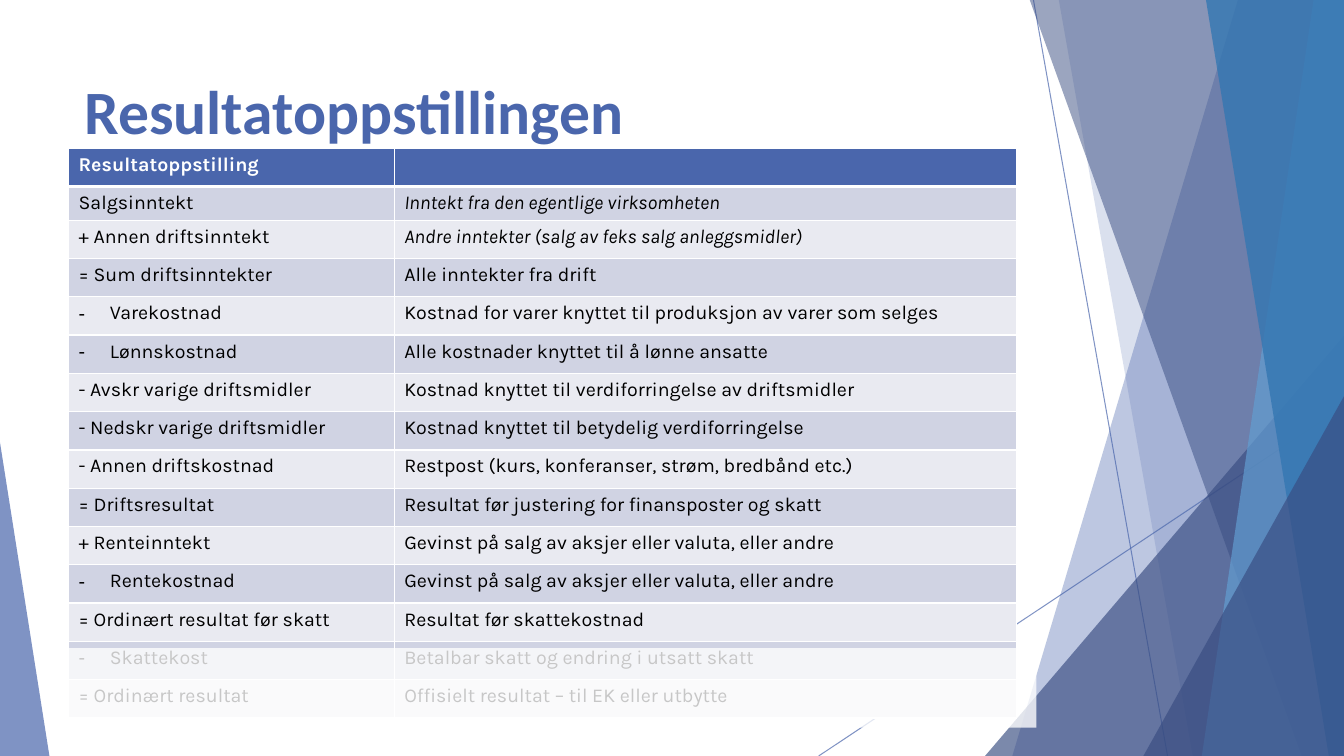
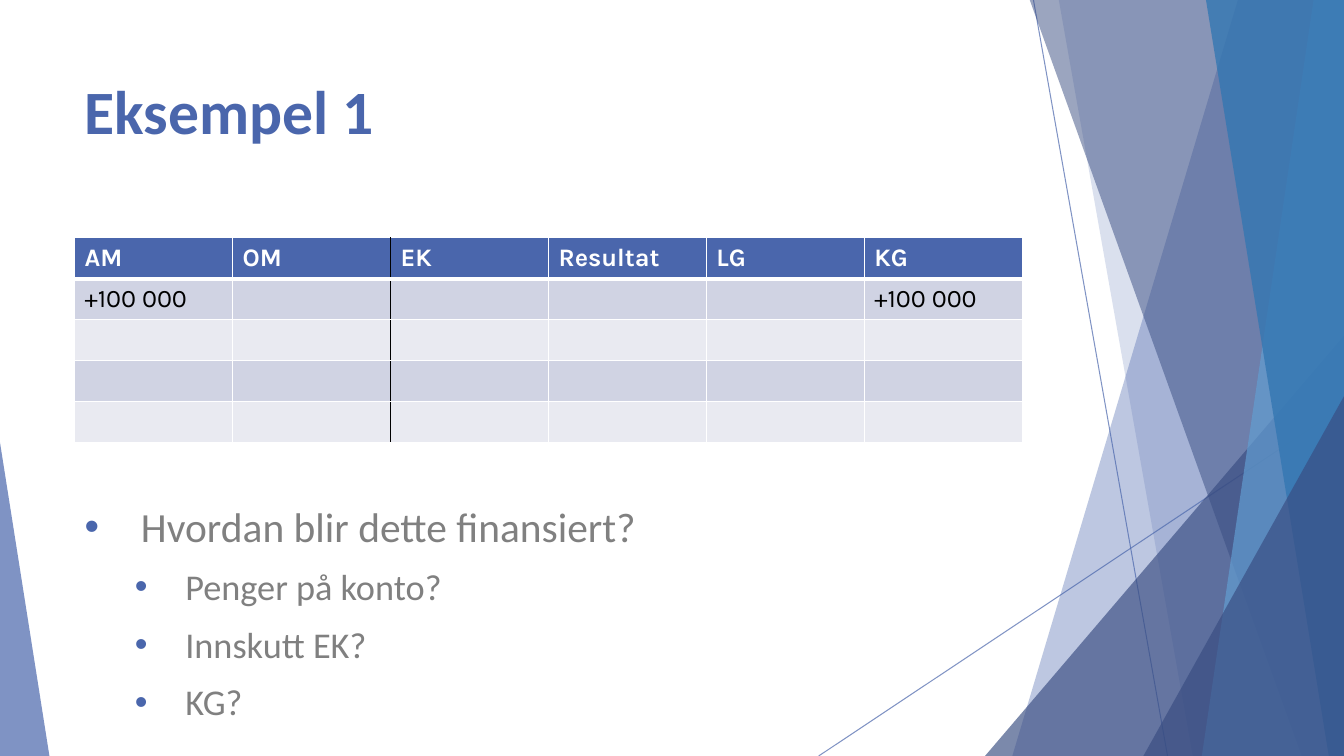
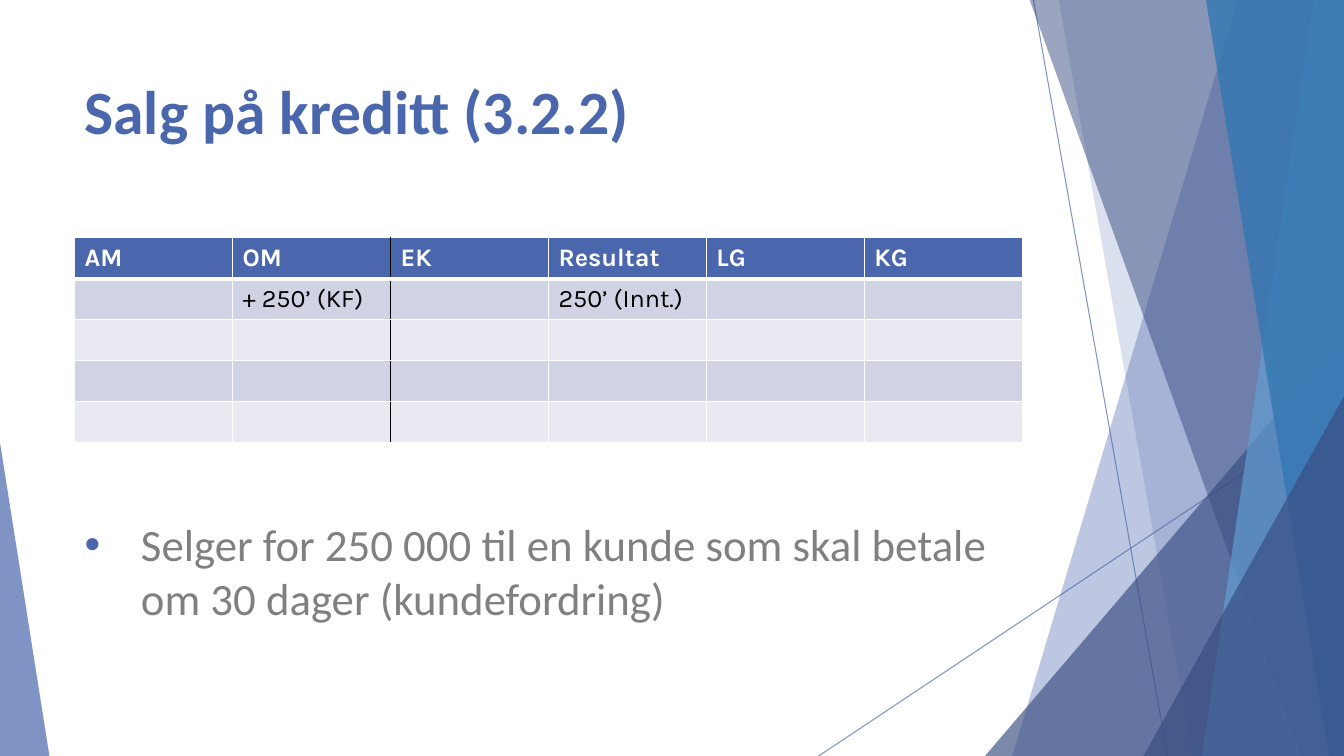
import pptx
import pptx.dml.color
import pptx.enum.shapes
import pptx.enum.text
import pptx.oxml
import pptx.oxml.ns
import pptx.util
from lxml import etree

Inches = pptx.util.Inches
Pt = pptx.util.Pt
RGBColor = pptx.dml.color.RGBColor
MSO_SHAPE = pptx.enum.shapes.MSO_SHAPE
qn = pptx.oxml.ns.qn

# Colours
BLUE = RGBColor(0x4A, 0x66, 0xAC)
NAVY = RGBColor(0x38, 0x4C, 0x81)
SKY = RGBColor(0x62, 0x9D, 0xD1)
OCEAN = RGBColor(0x34, 0x77, 0xB2)
BAND_DARK = RGBColor(0xD0, 0xD3, 0xE3)
BAND_LIGHT = RGBColor(0xE9, 0xEA, 0xF1)
GREY = RGBColor(0x80, 0x80, 0x80)
WHITE = RGBColor(0xFF, 0xFF, 0xFF)
BLACK = RGBColor(0, 0, 0)

# Layout and type
WIDTH, HEIGHT = 13.33, 7.5
LEFT, CONTENT_WIDTH = 0.74, 9.4
HEADING_FONT, TABLE_FONT = "Calibri", "Karla"
INDENTS = [(0.56, 0.56), (1, 0.5)]  # left margin and hanging indent by level

# Content
INCOME_STATEMENT = [
    ("Resultatoppstilling", ""),
    ("Salgsinntekt", "Inntekt fra den egentlige virksomheten"),
    ("+ Annen driftsinntekt", "Andre inntekter (salg av feks salg anleggsmidler)"),
    ("= Sum driftsinntekter", "Alle inntekter fra drift"),
    ("Varekostnad", "Kostnad for varer knyttet til produksjon av varer som selges"),
    ("Lønnskostnad", "Alle kostnader knyttet til å lønne ansatte"),
    ("- Avskr varige driftsmidler", "Kostnad knyttet til verdiforringelse av driftsmidler"),
    ("- Nedskr varige driftsmidler", "Kostnad knyttet til betydelig verdiforringelse"),
    ("- Annen driftskostnad", "Restpost (kurs, konferanser, strøm, bredbånd etc.)"),
    ("= Driftsresultat", "Resultat før justering for finansposter og skatt"),
    ("+ Renteinntekt", "Gevinst på salg av aksjer eller valuta, eller andre"),
    ("Rentekostnad", "Gevinst på salg av aksjer eller valuta, eller andre"),
    ("= Ordinært resultat før skatt", "Resultat før skattekostnad"),
    ("Skattekost", "Betalbar skatt og endring i utsatt skatt"),
    ("= Ordinært resultat", "Offisielt resultat – til EK eller utbytte"),
]
DASHED = {"Varekostnad", "Lønnskostnad", "Rentekostnad", "Skattekost"}
ITALIC = {INCOME_STATEMENT[1][1], INCOME_STATEMENT[2][1]}
ACCOUNTS = ("AM", "OM", "EK", "Resultat", "LG", "KG")


def set_alpha(properties, percent):
    colour = properties.find(".//" + qn("a:srgbClr"))
    etree.SubElement(colour, qn("a:alpha")).set("val", str(percent * 1000))


def set_font(paragraph, name, size, colour, bold=False, italic=False):
    font = paragraph.font
    font.name, font.size, font.bold, font.italic = name, Pt(size), bold, italic
    font.color.rgb = colour


def set_bullet(paragraph, char, margin, hanging, colour=None):
    properties = paragraph._p.get_or_add_pPr()
    properties.set("marL", str(Inches(margin)))
    properties.set("indent", str(-Inches(hanging)))
    if colour is not None:
        holder = etree.SubElement(properties, qn("a:buClr"))
        etree.SubElement(holder, qn("a:srgbClr")).set("val", str(colour))
    etree.SubElement(properties, qn("a:buFont")).set("typeface", "Arial")
    etree.SubElement(properties, qn("a:buChar")).set("char", char)


def set_border(cell, side, colour, width):
    line = etree.SubElement(cell._tc.get_or_add_tcPr(), qn("a:ln" + side))
    line.set("w", str(Pt(width)))
    fill = etree.SubElement(line, qn("a:solidFill"))
    etree.SubElement(fill, qn("a:srgbClr")).set("val", str(colour))


class Deck:
    def __init__(self):
        self.presentation = pptx.Presentation()
        self.presentation.slide_width = Inches(WIDTH)
        self.presentation.slide_height = Inches(HEIGHT)
        self.slide = None

    def start(self, title):
        layout = self.presentation.slide_layouts[6]
        self.slide = self.presentation.slides.add_slide(layout)
        self.backdrop()
        heading = self.text_frame(0.67, 1.44).paragraphs[0]
        heading.text = title
        set_font(heading, HEADING_FONT, 44, BLUE, bold=True)

    def backdrop(self):
        self.line((10.25, 0), (11.58, HEIGHT))
        self.line((WIDTH, 4.03), (8.12, HEIGHT))
        self.ribbon(12.28, 10.04, BLUE, 36)
        self.ribbon(10.5, 11.83, BLUE, 20)
        self.triangle(9.77, 3.33, 3.56, 1, NAVY, 66)
        self.ribbon(10.21, 12.91, NAVY, 50)
        self.ribbon(13.03, 11.92, SKY, 70)
        self.ribbon(11.96, 13.18, OCEAN, 80)
        self.triangle(11.34, 3.93, 1.99, 1, NAVY, 66)
        self.triangle(0, 4.39, 0.49, 0, BLUE, 70)

    def line(self, start, end):
        connector = self.slide.shapes.add_connector(
            pptx.enum.shapes.MSO_CONNECTOR.STRAIGHT,
            *(Inches(value) for value in start + end))
        connector.line.color.rgb = BLUE
        connector.line.width = Pt(0.75)
        properties = connector._element.spPr
        set_alpha(properties, 70)
        etree.SubElement(properties, qn("a:effectLst"))

    def paint(self, shape, colour, alpha):
        shape.shadow.inherit = False
        shape.line.fill.background()
        shape.fill.solid()
        shape.fill.fore_color.rgb = colour
        set_alpha(shape._element.spPr, alpha)

    def ribbon(self, top_x, bottom_x, colour, alpha):
        """Full-height band from a slanted left edge to the slide's right edge."""
        top = Inches(-0.01)
        outline = self.slide.shapes.build_freeform(Inches(top_x), top)
        outline.add_line_segments([
            (Inches(WIDTH), top), (Inches(WIDTH), Inches(HEIGHT)),
            (Inches(bottom_x), Inches(HEIGHT))], close=True)
        self.paint(outline.convert_to_shape(), colour, alpha)

    def triangle(self, left, top, width, apex, colour, alpha):
        shape = self.preset(MSO_SHAPE.ISOSCELES_TRIANGLE, left, top, width,
                            HEIGHT - top, colour, alpha)
        shape.adjustments[0] = apex

    def preset(self, kind, left, top, width, height, colour, alpha):
        shape = self.slide.shapes.add_shape(
            kind, Inches(left), Inches(top), Inches(width), Inches(height))
        self.paint(shape, colour, alpha)
        return shape

    def text_frame(self, top, height):
        box = self.slide.shapes.add_textbox(
            Inches(LEFT), Inches(top), Inches(CONTENT_WIDTH), Inches(height))
        box.text_frame.word_wrap = True
        box.text_frame.vertical_anchor = pptx.enum.text.MSO_ANCHOR.TOP
        return box.text_frame

    def bullets(self, top, height, items):
        """Items are (level, size, text)."""
        frame = self.text_frame(top, height)
        for index, (level, size, text) in enumerate(items):
            paragraph = frame.add_paragraph() if index else frame.paragraphs[0]
            paragraph.text = text
            paragraph.level = level
            if index:
                paragraph.space_before = Pt(10)
            set_bullet(paragraph, "•", *INDENTS[level], BLUE)
            set_font(paragraph, HEADING_FONT, size, GREY)

    def table(self, left, top, columns, heights, rows, size, divider=None):
        """Divider is the number of columns left of a black rule."""
        frame = self.slide.shapes.add_table(
            len(rows), len(columns), Inches(left), Inches(top),
            Inches(sum(columns)), Inches(sum(heights)))
        table = frame.table
        table.first_row = table.horz_banding = False
        for column, width in zip(table.columns, columns):
            column.width = Inches(width)
        for r, (row, height) in enumerate(zip(rows, heights)):
            table.rows[r].height = Inches(height)
            for c, text in enumerate(row):
                self.cell(table.cell(r, c), text, r, c, size, divider)

    def cell(self, cell, text, row, column, size, divider):
        set_border(cell, "L", BLACK if column == divider else WHITE, 1)
        set_border(cell, "R", BLACK if column + 1 == divider else WHITE, 1)
        set_border(cell, "T", WHITE, 3 if row == 1 else 1)
        set_border(cell, "B", WHITE, 1 if row else 3)
        cell.fill.solid()
        band = BAND_DARK if row % 2 else BAND_LIGHT
        cell.fill.fore_color.rgb = band if row else BLUE
        paragraph = cell.text_frame.paragraphs[0]
        if text:
            paragraph.text = text
        if text in DASHED:
            set_bullet(paragraph, "-", 0.31, 0.31)
        set_font(paragraph, TABLE_FONT, size, BLACK if row else WHITE,
                 bold=row == 0, italic=text in ITALIC)

    def ledger(self, entries):
        """Account table with one filled row; entries map account to amount."""
        posting = [entries.get(account, "") for account in ACCOUNTS]
        empty = [""] * len(ACCOUNTS)
        columns = [CONTENT_WIDTH / len(ACCOUNTS)] * len(ACCOUNTS)
        rows = [ACCOUNTS, posting, empty, empty, empty]
        self.table(LEFT, 2.36, columns, [2.03 / len(rows)] * len(rows), rows,
                   18, divider=2)


def main():
    deck = Deck()

    # Income statement, with the last rows veiled
    deck.start("Resultatoppstillingen")
    heights = [0.38, 0.33] + [0.38] * (len(INCOME_STATEMENT) - 2)
    deck.table(0.68, 1.47, [3.23, 6.17], heights, INCOME_STATEMENT, 14)
    deck.preset(MSO_SHAPE.RECTANGLE, 0.52, 6.43, 9.76, 0.79, WHITE, 78)

    # First example
    deck.start("Eksempel 1")
    deck.ledger({"AM": "+100 000", "KG": "+100 000"})
    deck.bullets(4.92, 2.35, [
        (0, 29.6, "Hvordan blir dette finansiert?"),
        (1, 25.9, "Penger på konto?"),
        (1, 25.9, "Innskutt EK?"),
        (1, 25.9, "KG?"),
    ])

    # Credit sale
    deck.start("Salg på kreditt (3.2.2)")
    deck.ledger({"OM": "+ 250’ (KF)", "Resultat": "250’ (Innt.)"})
    deck.bullets(5.08, 1.53, [
        (0, 32, "Selger for 250 000 til en kunde som skal betale om 30 dager "
                "(kundefordring)"),
    ])

    deck.presentation.save("out.pptx")


if __name__ == "__main__":
    main()
